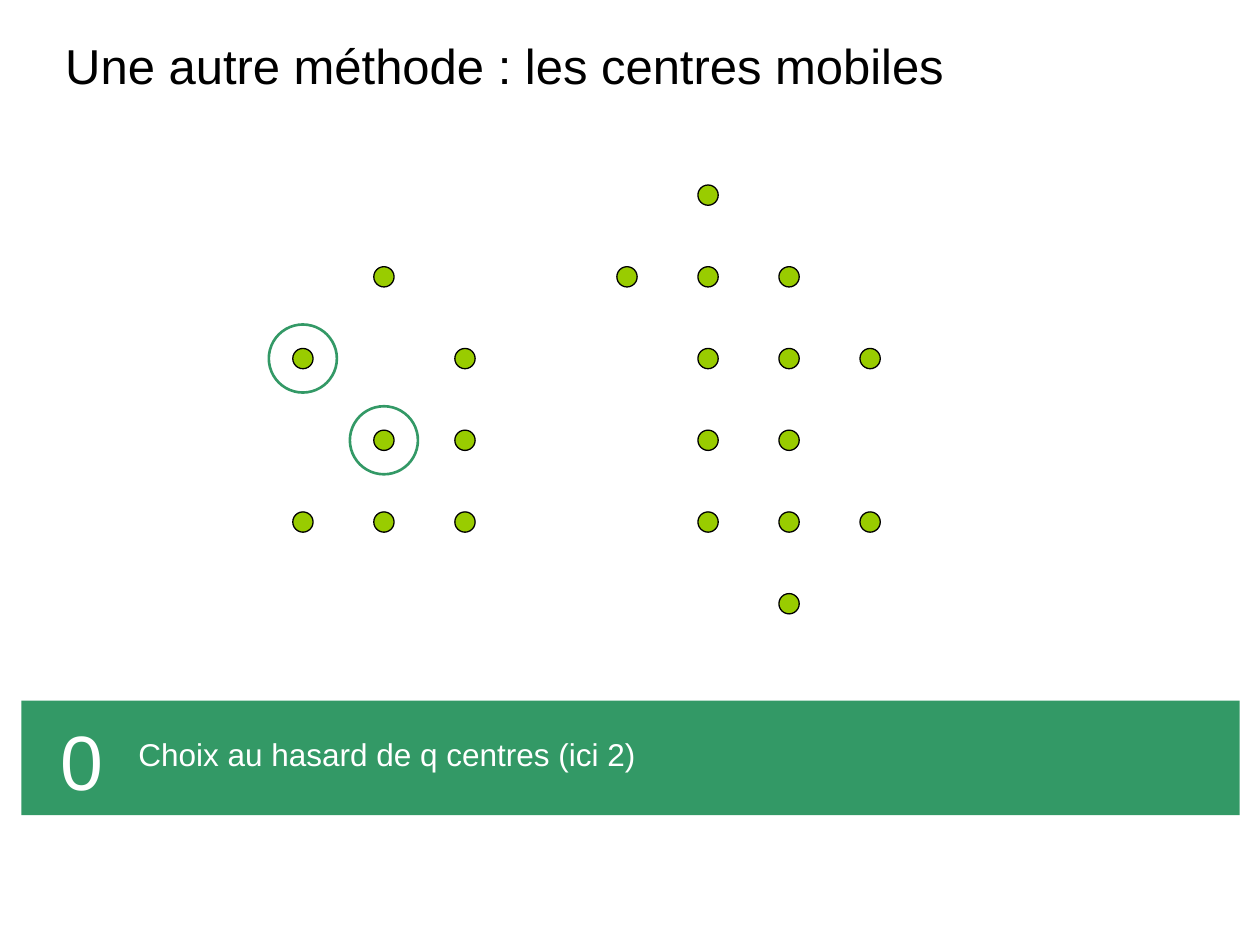
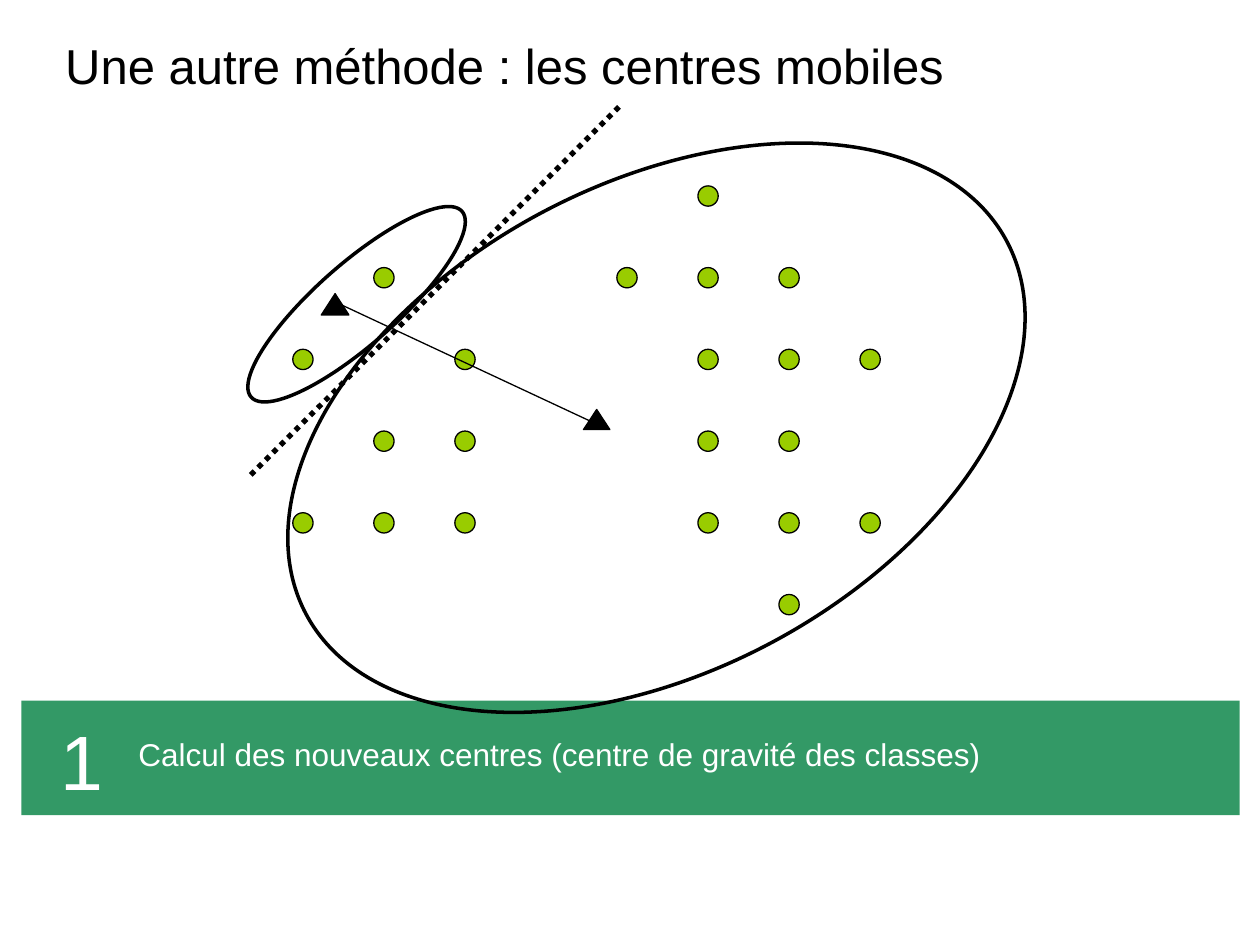
"""Build two slides on the moving-centres clustering method."""
from pptx import Presentation
from pptx.dml.color import RGBColor as RGB
from pptx.enum.dml import MSO_LINE_DASH_STYLE as Dash
from pptx.enum.shapes import MSO_CONNECTOR as Link, MSO_SHAPE as Kind
from pptx.enum.text import MSO_ANCHOR as Anchor, PP_ALIGN as Align
from pptx.oxml.xmlchemy import OxmlElement as Node
from pptx.util import Pt

TITLE = "Une autre méthode : les centres mobiles"
STEPS = [
    {"text": "Choix au hasard de q centres (ici 2)", "top": 105.7,
     "rings": [(0, 2), (1, 3)]},
    {"text": "Calcul des nouveaux centres (centre de gravité des classes)", "top": 106.2,
     "groups": [(148.3, 105.1, 453.6, 278.6, 152), (180.7, 93.6, 46.1, 160.6, 48.6)],
     "means": [(183.6, 167.8, 15.8, 12.2), (333.4, 234, 15.1, 11.5)],
     "lines": [(143.3, 271.4, 355, 59.8, 3, Dash.ROUND_DOT),
               (195.1, 174.2, 337, 240.5, 0.75, None)]},
]
GRID = [
    ".....o..",
    ".o..ooo.",
    "o.o..ooo",
    ".oo..oo.",
    "ooo..ooo",
    "......o.",
]

BLACK, WHITE = RGB(0, 0, 0), RGB(255, 255, 255)
GREEN, LIME = RGB(0x33, 0x99, 0x66), RGB(0x99, 0xCC, 0)
FONT = "Arial"
LEFT, STEP_X, STEP_Y = 167.3, 46.3, 46.7
DOT, RING = 11.6, 38.9
BAND = (12.2, 400.3, 696.2, 65.5)


def draw(slide, kind, box, fill=None, line=None, width=0.75, turn=0):
    shape = slide.shapes.add_shape(kind, *map(Pt, box))
    shape.shadow.inherit = False
    shape.rotation = turn
    if fill is None:
        shape.fill.background()
    else:
        shape.fill.solid()
        shape.fill.fore_color.rgb = fill
    if line is None:
        shape.line.fill.background()
    else:
        shape.line.color.rgb = line
        shape.line.width = Pt(width)


def write(slide, text, box, size, color, align=Align.LEFT):
    frame = slide.shapes.add_textbox(*map(Pt, box)).text_frame
    frame.word_wrap = True
    frame.vertical_anchor = Anchor.TOP
    frame.text = text
    par = frame.paragraphs[0]
    par.alignment = align
    font = par.runs[0].font
    font.name, font.size = FONT, Pt(size)
    font.color.rgb = color


def join(slide, x1, y1, x2, y2, width, dash):
    line = slide.shapes.add_connector(Link.STRAIGHT, *map(Pt, (x1, y1, x2, y2)))
    line.line.color.rgb = BLACK
    line.line.width = Pt(width)
    if dash is not None:
        line.line.dash_style = dash
    line._element.spPr.append(Node("a:effectLst"))


def spot(col, row, top, size):
    shift = (DOT - size) / 2
    return LEFT + col * STEP_X + shift, top + row * STEP_Y + shift, size, size


def build(deck, rank, step):
    slide = deck.slides.add_slide(deck.slide_layouts[6])
    top = step["top"]
    draw(slide, Kind.RECTANGLE, BAND, GREEN)
    write(slide, TITLE, (30.2, 17, 660, 39.4), 28, BLACK)
    write(slide, step["text"], (72, 416.2, 600, 28.8), 18, WHITE)
    for row, marks in enumerate(GRID):
        for col, mark in enumerate(marks):
            if mark == "o":
                draw(slide, Kind.OVAL, spot(col, row, top, DOT), LIME, BLACK)
    for col, row in step.get("rings", []):
        draw(slide, Kind.OVAL, spot(col, row, top, RING), None, GREEN, 1.5)
    write(slide, str(rank), (12.2, 404, 54, 59.8), 44, WHITE, Align.RIGHT)
    for *box, turn in step.get("groups", []):
        draw(slide, Kind.OVAL, box, None, BLACK, 2, turn)
    for box in step.get("means", []):
        draw(slide, Kind.ISOSCELES_TRIANGLE, box, BLACK, BLACK)
    for line in step.get("lines", []):
        join(slide, *line)


def main():
    deck = Presentation()
    deck.slide_width, deck.slide_height = Pt(720), Pt(540)
    for rank, step in enumerate(STEPS):
        build(deck, rank, step)
    deck.save("out.pptx")


if __name__ == "__main__":
    main()
